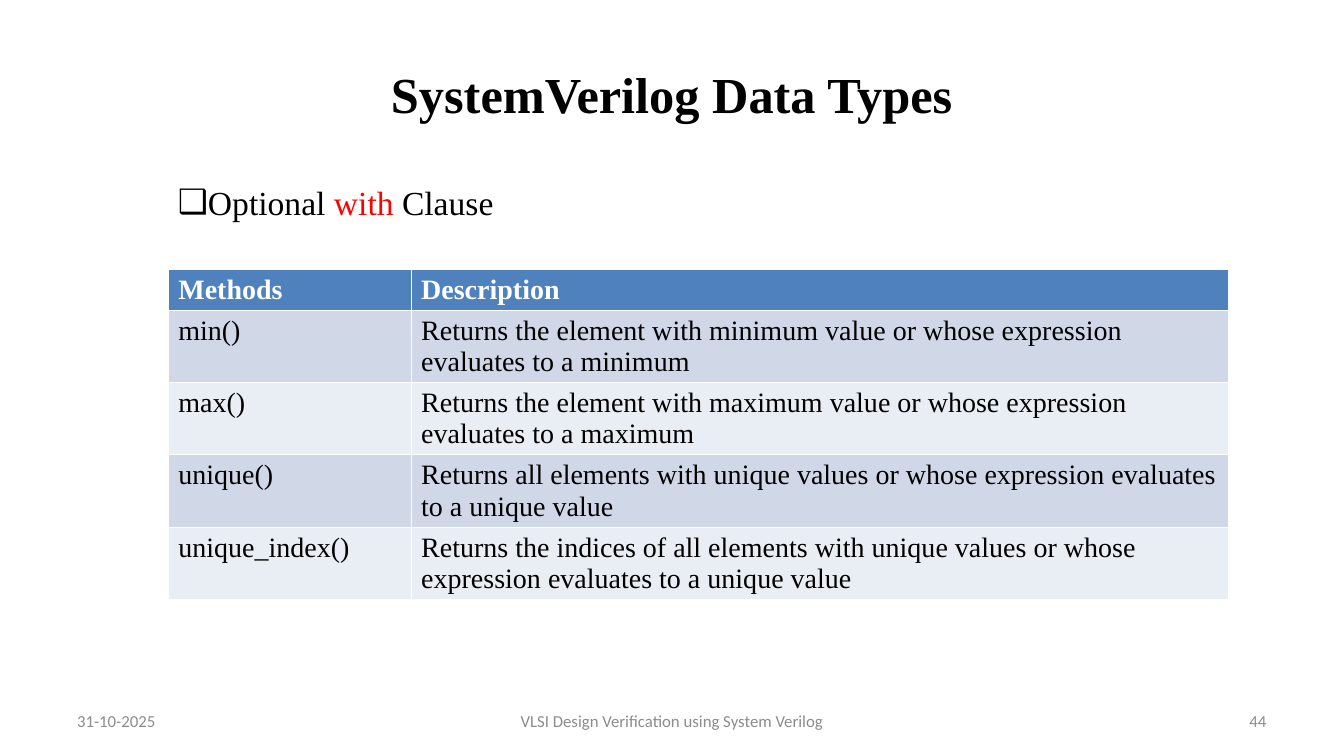
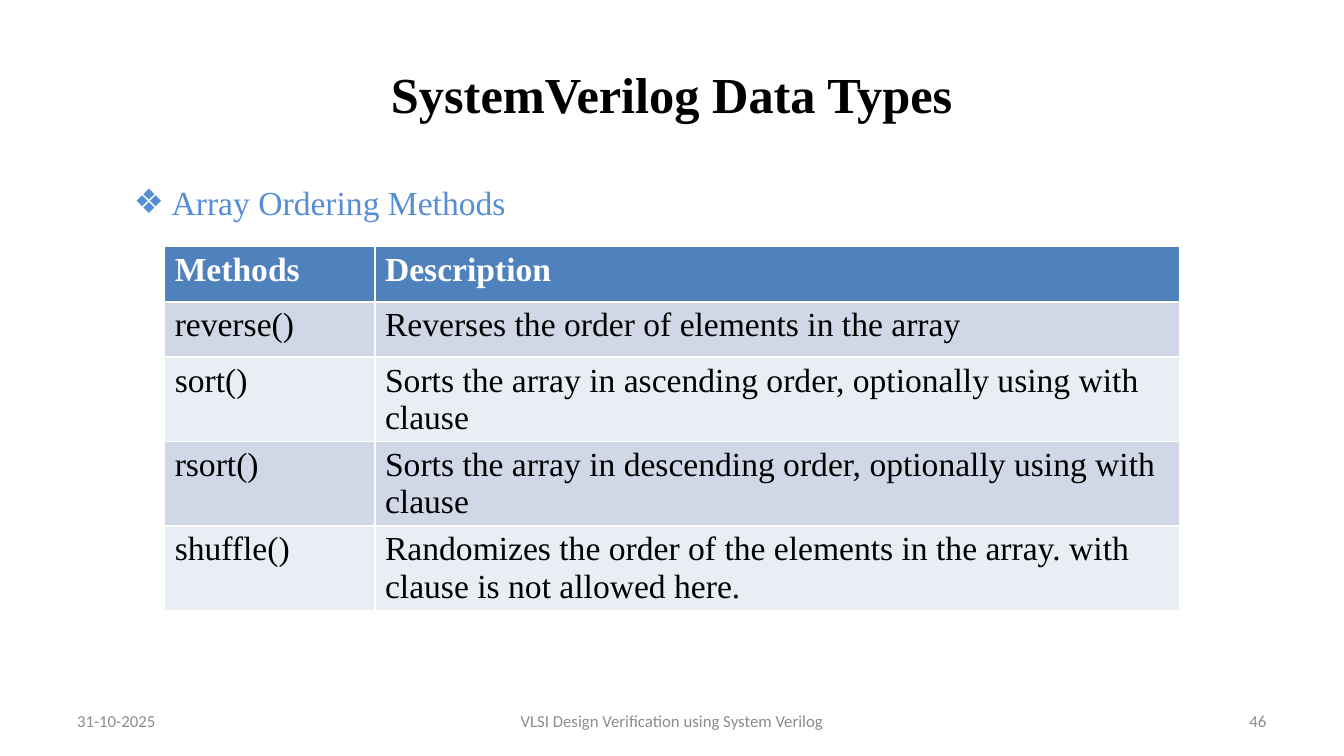
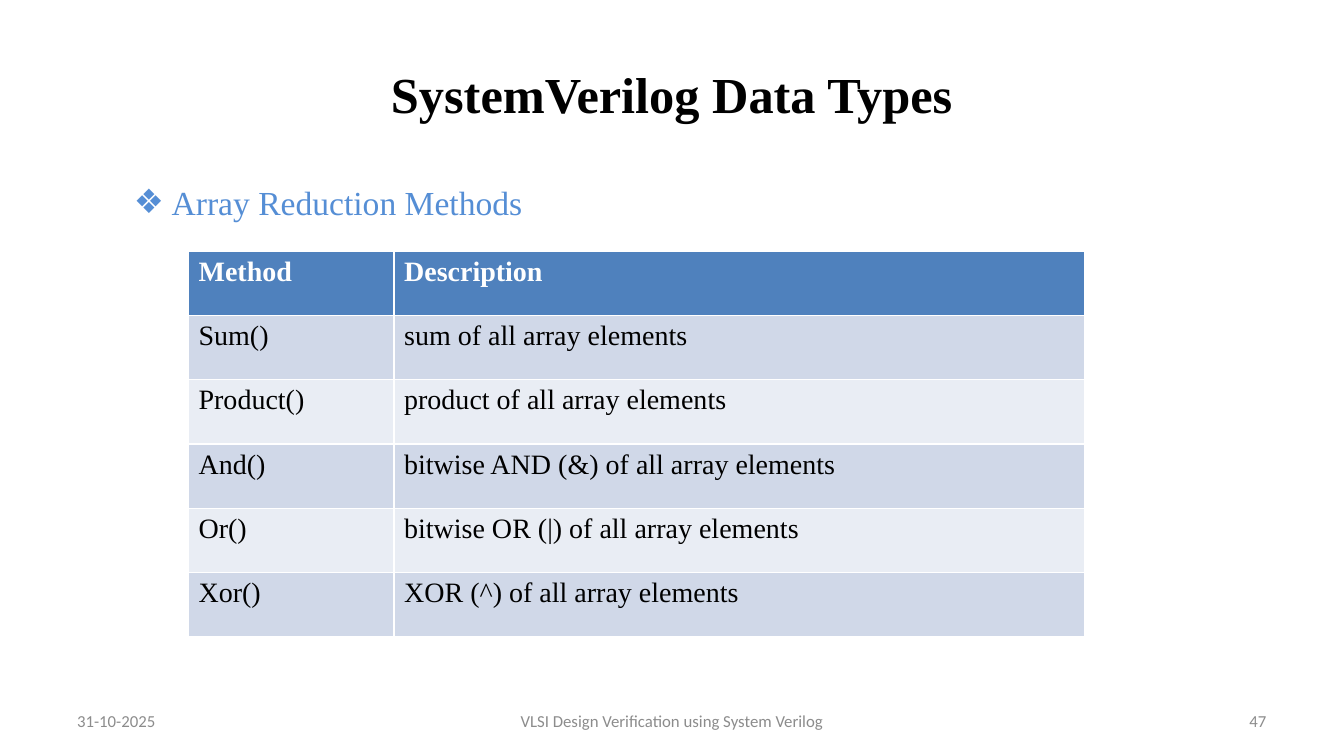
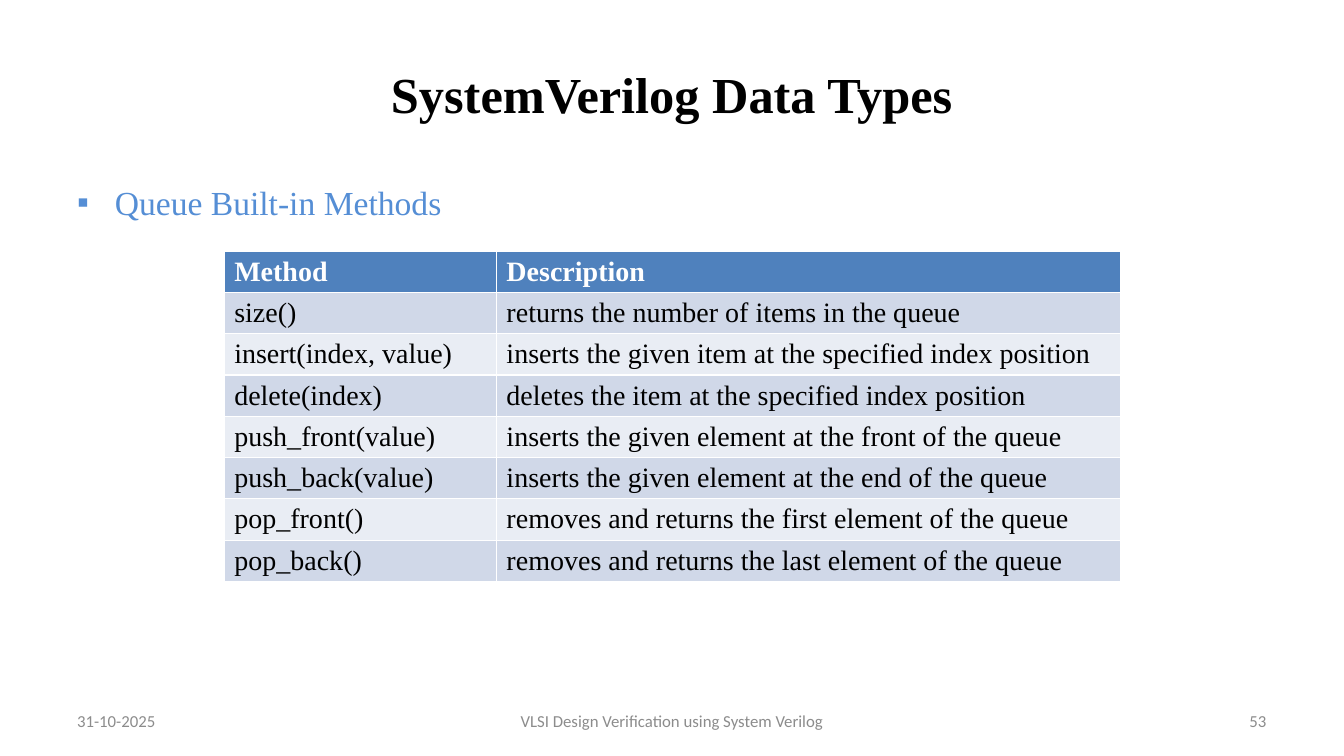
"""Build four slides on SystemVerilog array and queue methods."""
from lxml.etree import SubElement
from pptx import Presentation
from pptx.dml.color import RGBColor
from pptx.enum.text import MSO_ANCHOR, PP_ALIGN
from pptx.oxml.ns import qn
from pptx.util import Cm, Pt

INK = {
    "black": "000000", "white": "FFFFFF", "red": "FF0000", "sky": "558ED5",
    "head": "4F81BD", "odd": "D0D8E8", "even": "E9EDF4", "grey": "8C8C8C",
}
SERIF = "Times New Roman"
TITLE = "SystemVerilog Data Types"
DATE = "31-10-2025"
COURSE = "VLSI Design Verification using System Verilog"

SLIDES = [
    {
        "page": "44", "bullet": "❑", "left": 3.18, "hang": 0.64,
        "runs": [("Optional ", "black"), ("with", "red"), (" Clause", "black")],
        "at": (4.24, 6.78), "cols": (6.12, 20.6), "row": 1.04, "size": 20,
        "rows": [
            ("Methods", "Description"),
            ("min()", "Returns the element with minimum value or whose expression evaluates to a minimum"),
            ("max()", "Returns the element with maximum value or whose expression evaluates to a maximum"),
            ("unique()", "Returns all elements with unique values or whose expression evaluates to a unique value"),
            ("unique_index()", "Returns the indices of all elements with unique values or whose expression evaluates to a unique value"),
        ],
    },
    {
        "page": "46", "bullet": "❖", "left": 2.38, "hang": 0.95,
        "runs": [("Array Ordering Methods", "sky")],
        "at": (4.15, 6.22), "cols": (5.3, 20.27), "row": 1.39, "size": 24,
        "rows": [
            ("Methods", "Description"),
            ("reverse()", "Reverses the order of elements in the array"),
            ("sort()", "Sorts the array in ascending order, optionally using with clause"),
            ("rsort()", "Sorts the array in descending order, optionally using with clause"),
            ("shuffle()", "Randomizes the order of the elements in the array. with clause is not allowed here."),
        ],
    },
    {
        "page": "47", "bullet": "❖", "left": 2.38, "hang": 0.95,
        "runs": [("Array Reduction Methods", "sky")],
        "at": (4.75, 6.33), "cols": (5.18, 17.4), "row": 1.62, "size": 20,
        "rows": [
            ("Method", "Description"),
            ("Sum()", "sum of all array elements"),
            ("Product()", "product of all array elements"),
            ("And()", "bitwise AND (&) of all array elements"),
            ("Or()", "bitwise OR (|) of all array elements"),
            ("Xor()", "XOR (^) of all array elements"),
        ],
    },
    {
        "page": "53", "bullet": "▪", "left": 0.95, "hang": 0.95,
        "runs": [("Queue Built-in Methods", "sky")],
        "at": (5.65, 6.33), "cols": (6.86, 15.72), "row": 1.04, "size": 20,
        "rows": [
            ("Method", "Description"),
            ("size()", "returns the number of items in the queue"),
            ("insert(index, value)", "inserts the given item at the specified index position"),
            ("delete(index)", "deletes the item at the specified index position"),
            ("push_front(value)", "inserts the given element at the front of the queue"),
            ("push_back(value)", "inserts the given element at the end of the queue"),
            ("pop_front()", "removes and returns the first element of the queue"),
            ("pop_back()", "removes and returns the last element of the queue"),
        ],
    },
]


def style(font, size, ink, face=SERIF, bold=False):
    font.name, font.size, font.bold = face, Pt(size), bold
    font.color.rgb = RGBColor.from_string(INK[ink])


def place(shape, left, top, width, height):
    shape.left, shape.top = Cm(left), Cm(top)
    shape.width, shape.height = Cm(width), Cm(height)


deck = Presentation()
deck.slide_width, deck.slide_height = Cm(33.87), Cm(19.05)
layout = deck.slide_layouts[1]
boxes = {
    0: (1.69, 0.76, 30.48, 3.18),
    1: (1.69, 4.45, 30.48, 12.57),
    10: (1.69, 17.66, 7.9, 1.01),
    11: (11.57, 17.66, 10.73, 1.01),
    12: (24.27, 17.66, 7.9, 1.01),
}
for holder in layout.placeholders:
    place(holder, *boxes[holder.placeholder_format.idx])

for data in SLIDES:
    slide = deck.slides.add_slide(layout)
    slide.shapes.title.text = TITLE
    style(slide.shapes.title.text_frame.paragraphs[0].font, 36, "black", bold=True)

    line = slide.placeholders[1].text_frame.paragraphs[0]
    props = line._p.get_or_add_pPr()
    props.set("marL", str(Cm(data["left"])))
    props.set("indent", str(-Cm(data["hang"])))
    SubElement(props, qn("a:buChar")).set("char", data["bullet"])
    line.space_before = Pt(0)
    for text, ink in data["runs"]:
        run = line.add_run()
        run.text = text
        style(run.font, 24, ink)

    notes = {
        10: (DATE, PP_ALIGN.LEFT),
        11: (COURSE, PP_ALIGN.CENTER),
        12: (data["page"], PP_ALIGN.RIGHT),
    }
    for holder in layout.placeholders:
        idx = holder.placeholder_format.idx
        if idx in notes:
            slide.shapes.clone_placeholder(holder)
            frame = slide.placeholders[idx].text_frame
            frame.text, align = notes[idx]
            frame.vertical_anchor = MSO_ANCHOR.MIDDLE
            frame.paragraphs[0].alignment = align
            style(frame.paragraphs[0].font, 12, "grey", "Calibri")

    rows, cols = data["rows"], data["cols"]
    left, top = data["at"]
    table = slide.shapes.add_table(
        len(rows), len(cols), Cm(left), Cm(top),
        Cm(sum(cols)), Cm(data["row"] * len(rows))).table
    for col, width in zip(table.columns, cols):
        col.width = Cm(width)
    for r, texts in enumerate(rows):
        table.rows[r].height = Cm(data["row"])
        fill = "head" if r == 0 else "odd" if r % 2 else "even"
        for c, text in enumerate(texts):
            cell = table.cell(r, c)
            cell.text = text
            cell.fill.solid()
            cell.fill.fore_color.rgb = RGBColor.from_string(INK[fill])
            style(cell.text_frame.paragraphs[0].font, data["size"],
                  "black" if r else "white", bold=r == 0)

deck.save("out.pptx")
